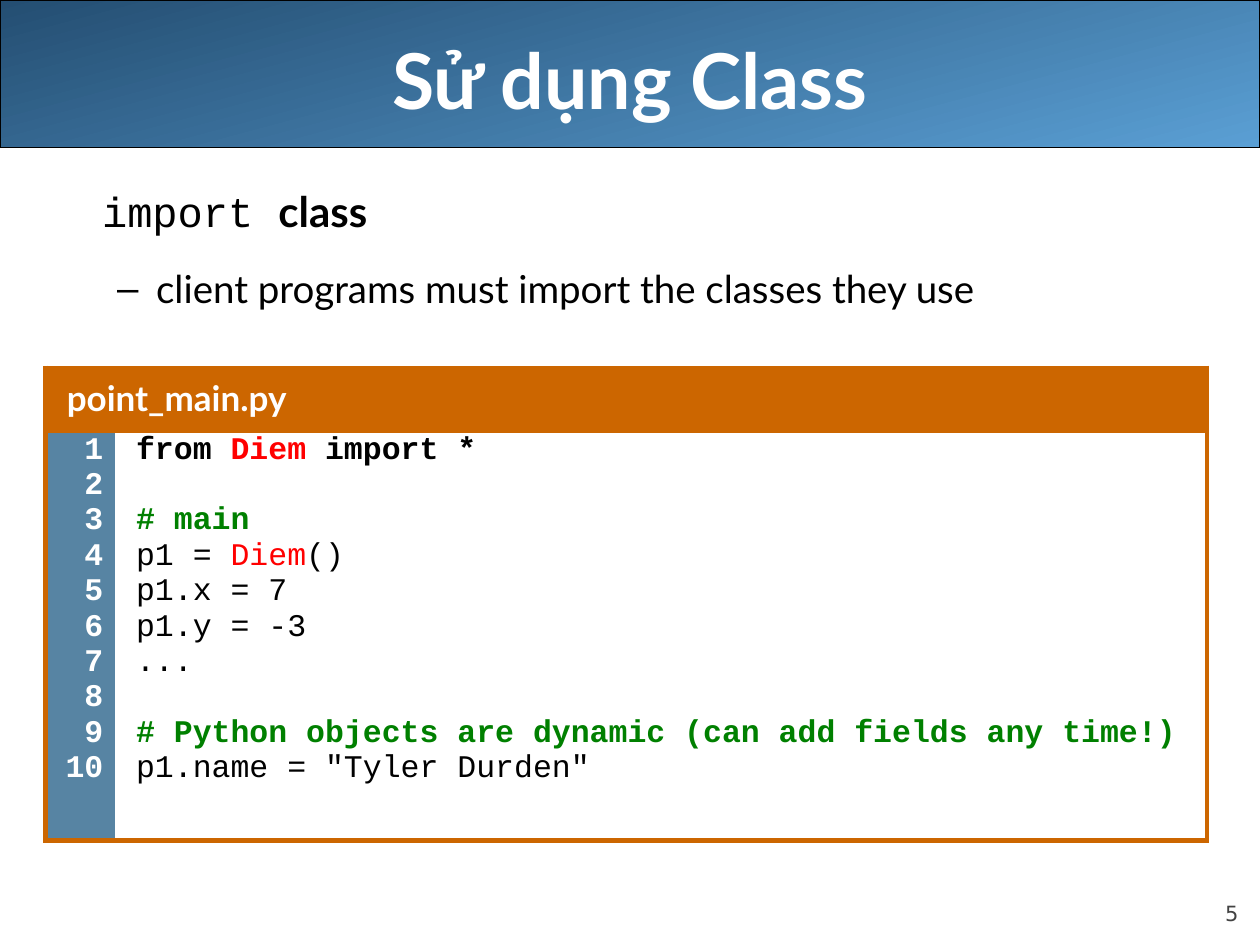
from pptx import Presentation
from pptx.dml.color import RGBColor
from pptx.enum.shapes import MSO_SHAPE as Shape
from pptx.enum.text import MSO_ANCHOR as Anchor, MSO_AUTO_SIZE as AutoSize, PP_ALIGN as Align
from pptx.oxml.ns import qn
from pptx.util import Inches, Pt
from lxml.etree import SubElement

COLORS = {
    "bar_dark": "244E72", "bar_light": "5A9FD4", "black": "000000",
    "white": "FFFFFF", "page": "424242", "frame": "CC6600",
    "gutter": "5784A3", "name": "FF0000", "comment": "008000",
}
CODE_FONT, TEXT_FONT = "Courier New", "Lato"
CODE_GAP, CODE_PITCH = 4.5, 20.2  # points between lines, and per line

# Each line of code is a list of (text, color, bold)
CODE = [
    [("from ", "black", True), ("Diem", "name", True), (" import *", "black", True)],
    [],
    [("# main", "comment", True)],
    [("p1 = ", "black", False), ("Diem", "name", False), ("()", "black", False)],
    [("p1.x = 7", "black", False)],
    [("p1.y = -3", "black", False)],
    [("...", "black", False)],
    [],
    [("# Python objects are dynamic (can add fields any time!)", "comment", True)],
    [('p1.name = "Tyler Durden"', "black", False)],
]


def rgb(name):
    return RGBColor.from_string(COLORS[name])


def place(shape, left, top, width, height):
    shape.left, shape.top = Inches(left), Inches(top)
    shape.width, shape.height = Inches(width), Inches(height)


def add_run(paragraph, text, font, size, color, bold=False):
    run = paragraph.add_run()
    run.text = text
    run.font.name, run.font.size, run.font.bold = font, Pt(size), bold
    run.font.color.rgb = rgb(color)


def set_indent(paragraph, margin, first=0, bullet=None):
    props = paragraph._p.get_or_add_pPr()
    props.set("marL", str(Inches(margin)))
    props.set("indent", str(Inches(first)))
    if bullet:
        SubElement(props, qn("a:buChar")).set("char", bullet)
    else:
        SubElement(props, qn("a:buNone"))


def add_header(slide):
    title = slide.shapes.title
    bar = slide.shapes.add_shape(Shape.ROUNDED_RECTANGLE, 0, 0, Inches(10), Inches(1.17))
    bar.adjustments[0] = 0
    bar.shadow.inherit = False
    bar.fill.gradient()
    bar.fill.gradient_angle = 285
    for stop, color in zip(bar.fill.gradient_stops, ("bar_dark", "bar_light")):
        stop.color.rgb = rgb(color)
    bar.line.color.rgb = rgb("black")
    bar.line.width = Pt(0.75)
    title.element.addprevious(bar.element)  # the bar lies behind the title

    place(title, 0.5, 0, 9, 1.25)
    frame = title.text_frame
    frame.auto_size, frame.vertical_anchor = AutoSize.NONE, Anchor.MIDDLE
    heading = frame.paragraphs[0]
    heading.alignment = Align.CENTER
    add_run(heading, "Sử dụng Class", TEXT_FONT, 44, "white", True)


def add_points(slide):
    body = slide.placeholders[1]
    place(body, 0.33, 1.42, 9.5, 5.42)
    frame = body.text_frame
    frame.auto_size, frame.vertical_anchor = AutoSize.NONE, Anchor.TOP

    topic = frame.paragraphs[0]
    set_indent(topic, 0.38)
    topic.space_before = Pt(0)
    add_run(topic, "import ", CODE_FONT, 24, "black")
    add_run(topic, "class", TEXT_FONT, 24, "black", True)

    detail = frame.add_paragraph()
    detail.level = 1
    set_indent(detail, 0.81, -0.31, "–")
    detail.space_before = Pt(17)
    add_run(detail, "client programs must import the classes they use",
            TEXT_FONT, 22, "black")


def style_cell(cell, fill, borders, right_inset):
    props = cell._tc.get_or_add_tcPr()
    for side in "LRTB":
        line = SubElement(props, qn(f"a:ln{side}"))
        if side in borders:
            line.set("w", str(Pt(3)))
            solid = SubElement(line, qn("a:solidFill"))
            SubElement(solid, qn("a:srgbClr")).set("val", COLORS["frame"])
        else:
            SubElement(line, qn("a:noFill"))
    cell.fill.solid()
    cell.fill.fore_color.rgb = rgb(fill)
    cell.margin_left = cell.margin_top = cell.margin_bottom = Inches(0.05)
    cell.margin_right = Inches(right_inset)


def fill_code(cell, lines, margin, align):
    """Write code lines; an empty line widens the gap before the next one."""
    paragraph, gap = cell.text_frame.paragraphs[0], 0
    for line in lines:
        if not line:
            gap += CODE_PITCH
            continue
        if paragraph.runs:
            paragraph = cell.text_frame.add_paragraph()
            paragraph.space_before = Pt(CODE_GAP + gap)
        gap = 0
        set_indent(paragraph, margin)
        paragraph.alignment, paragraph.line_spacing = align, 0.77
        for text, color, bold in line:
            add_run(paragraph, text, CODE_FONT, 18, color, bold)


def add_listing(slide):
    table = slide.shapes.add_table(2, 2, Inches(0.36), Inches(2.92),
                                   Inches(9.22), Inches(3.75)).table
    table.first_row = table.horz_banding = False
    for column, width in zip(table.columns, (0.55, 8.67)):
        column.width = Inches(width)
    for row, height in zip(table.rows, (0.5, 3.25)):
        row.height = Inches(height)

    # File name
    header = table.cell(0, 0)
    header.merge(table.cell(0, 1))
    for cell in table.rows[0].cells:
        style_cell(cell, "frame", "LRTB", 0.05)
    file_name = header.text_frame.paragraphs[0]
    set_indent(file_name, 0.12)
    file_name.line_spacing = 1.07
    add_run(file_name, "point_main.py", TEXT_FONT, 20, "white", True)

    # Line numbers and code
    gutter, code = table.rows[1].cells
    style_cell(gutter, "gutter", "LTB", 0.09)
    style_cell(code, "white", "RTB", 0.18)
    numbers = [[(str(n), "white", True)] for n in range(1, len(CODE) + 1)]
    fill_code(gutter, numbers, 0, Align.RIGHT)
    fill_code(code, CODE, 0.12, Align.LEFT)


def add_page_number(slide):
    box = slide.shapes.add_textbox(Inches(9), Inches(6.95), Inches(0.83), Inches(0.4))
    frame = box.text_frame
    frame.word_wrap, frame.vertical_anchor = True, Anchor.BOTTOM
    frame.margin_left = frame.margin_right = frame.margin_top = frame.margin_bottom = 0
    number = frame.paragraphs[0]
    number.alignment = Align.RIGHT
    add_run(number, "5", "DejaVu Sans", 12, "page")


def main():
    deck = Presentation()
    deck.slide_width, deck.slide_height = Inches(10), Inches(7.5)
    slide = deck.slides.add_slide(deck.slide_layouts[1])
    add_header(slide)
    add_points(slide)
    add_listing(slide)
    add_page_number(slide)
    deck.save("out.pptx")


if __name__ == "__main__":
    main()
